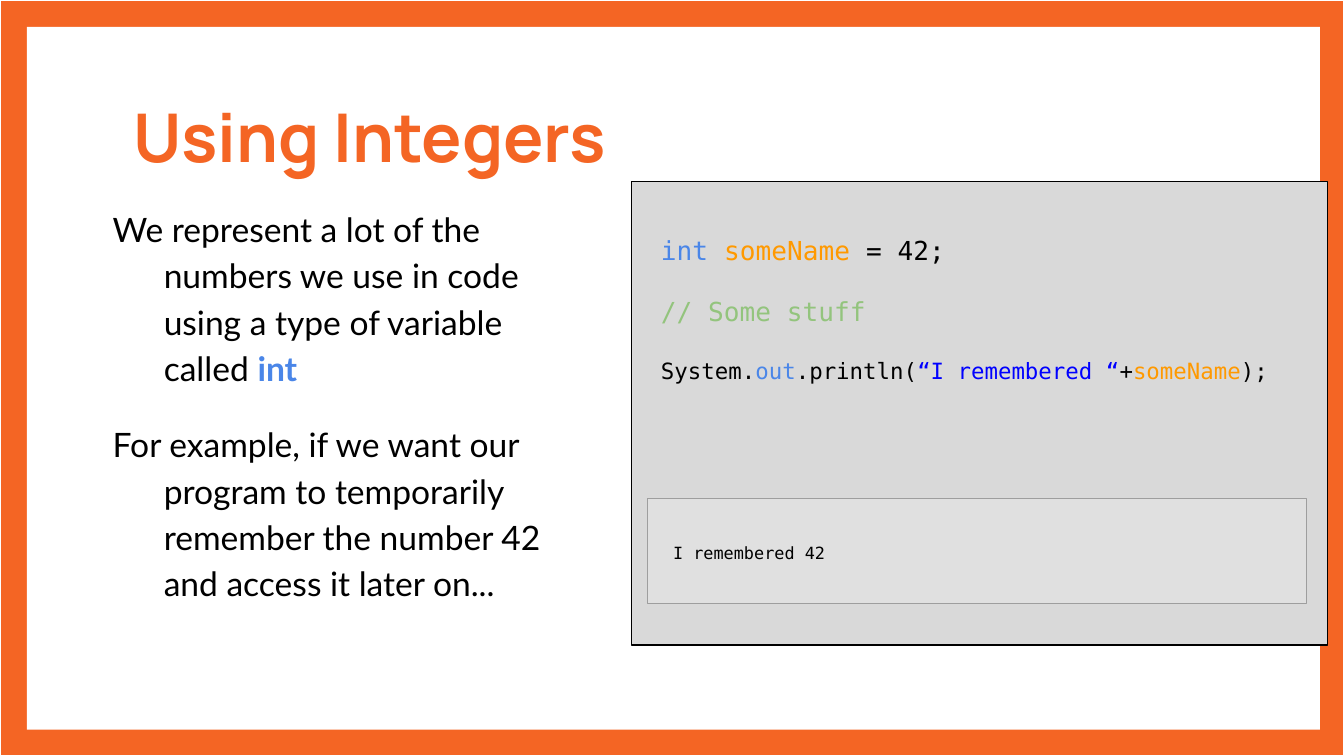
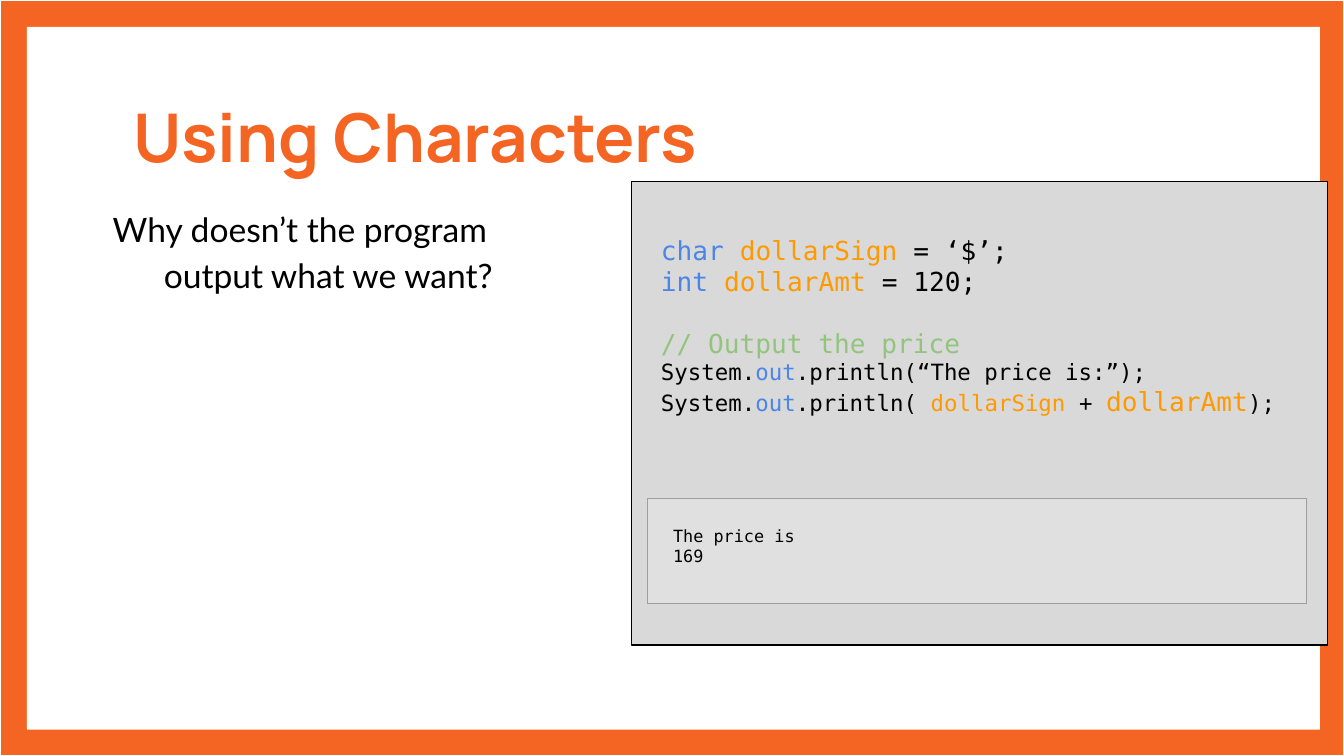
from pptx import Presentation
from pptx.dml.color import RGBColor
from pptx.enum.shapes import MSO_SHAPE
from pptx.enum.text import MSO_ANCHOR, MSO_AUTO_SIZE, PP_ALIGN
from pptx.util import Inches, Pt

COLS, ROWS = 100, 56.25
CELL = Inches(0.1)  # one column wide, one row high

ORANGE, WHITE, BLACK = "F46524", "FFFFFF", "000000"
PANEL, OUTPUT, OUTPUT_EDGE = "D9D9D9", "E0E0E0", "9E9E9E"
TYPE, NAME, COMMENT, STRING = "4A86E8", "FF9900", "93C47D", "0000FF"

TITLE_FONT, BODY_FONT, CODE_FONT = "Manrope", "Lato", "DejaVu Sans Mono"
BIG, SMALL = 14, 12  # code sizes
BLANK_LINE = 16.3  # height of one empty line of big code

# Each line of text is a list of runs: (text, colour, size).
# A code line comes with the number of empty lines above it.
PRINT = [("System.", BLACK, SMALL), ("out", TYPE, SMALL)]
slides = [
    {
        "title": "Using Integers",
        "body": [
            [("We represent a lot of the numbers we use in code "
              "using a type of variable called ", BLACK, 18),
             ("int", TYPE, 18)],
            [("For example, if we want our program to temporarily remember "
              "the number 42 and access it later on...", BLACK, 18)],
        ],
        "code": [
            (0, [("int ", TYPE, BIG), ("someName ", NAME, BIG), ("= 42;", BLACK, BIG)]),
            (1, [("// Some stuff", COMMENT, BIG)]),
            (1, PRINT + [(".println(", BLACK, SMALL), ("“I remembered “", STRING, SMALL),
                         ("+", BLACK, SMALL), ("someName", NAME, SMALL),
                         (");", BLACK, SMALL)]),
        ],
        "output": ["I remembered 42"],
        "output_rows": (39.4, 3.7),
    },
    {
        "title": "Using Characters",
        "body": [[("Why doesn’t the program output what we want?", BLACK, 18)]],
        "code": [
            (0, [("char ", TYPE, BIG), ("dollarSign ", NAME, BIG), ("= ‘$’;", BLACK, BIG)]),
            (0, [("int ", TYPE, BIG), ("dollarAmt ", NAME, BIG), ("= 120;", BLACK, BIG)]),
            (1, [("// Output the price", COMMENT, BIG)]),
            (0, PRINT + [(".println(“The price is:”);", BLACK, SMALL)]),
            (0, PRINT + [(".println( ", BLACK, SMALL), ("dollarSign ", NAME, SMALL),
                         ("+ ", BLACK, SMALL), ("dollarAmt", NAME, BIG),
                         (");", BLACK, SMALL)]),
        ],
        "output": ["The price is", "169"],
        "output_rows": (38.1, 5.6),
    },
]


def add_box(slide, col, row, cols, rows, fill, line=None):
    sp = slide.shapes.add_shape(MSO_SHAPE.RECTANGLE, *(
        round(n * CELL) for n in (col, row, cols, rows)))
    sp.shadow.inherit = False
    sp.fill.solid()
    sp.fill.fore_color.rgb = RGBColor.from_string(fill)
    if line:
        sp.line.color.rgb = RGBColor.from_string(line)
        sp.line.width = Pt(0.75)
    else:
        sp.line.fill.background()
    return sp


def write(sp, place, lines, font):
    """Place a text shape on the grid and fill it, one paragraph per line."""
    sp.left, sp.top, sp.width, sp.height = (round(n * CELL) for n in place)
    tf = sp.text_frame
    tf.word_wrap = True
    tf.auto_size = MSO_AUTO_SIZE.NONE
    tf.margin_left = tf.margin_right = tf.margin_top = tf.margin_bottom = CELL
    for i, line in enumerate(lines):
        p = tf.add_paragraph() if i else tf.paragraphs[0]
        p.alignment = PP_ALIGN.LEFT
        for text, colour, size in line:
            r = p.add_run()
            r.text = text
            r.font.name = font
            r.font.size = Pt(size)
            r.font.color.rgb = RGBColor.from_string(colour)
    return tf


prs = Presentation()
prs.slide_width = COLS * CELL
prs.slide_height = round(ROWS * CELL)
title_only = prs.slide_layouts[5]

for content in slides:
    slide = prs.slides.add_slide(title_only)
    title = slide.shapes.title

    # Frame, kept behind the title
    frame = add_box(slide, 0, 0, COLS, ROWS, ORANGE, WHITE)
    page = add_box(slide, 2, 2, 96.2, 52.3, WHITE)
    for sp in (frame, page):
        title.element.addprevious(sp.element)

    tf = write(title, (8.9, 5.7, 45.8, 8.4), [[(content["title"], ORANGE, 36)]], TITLE_FONT)
    tf.vertical_anchor = MSO_ANCHOR.BOTTOM
    tf.paragraphs[0].runs[0].font.bold = True

    # Explanation with hanging indents
    tf = write(slide.shapes.add_textbox(0, 0, 0, 0), (6.2, 14.1, 38.9, 35.3),
               content["body"], BODY_FONT)
    for p in tf.paragraphs:
        p.line_spacing = 1.15
        p.space_after = Pt(16)
        pPr = p._p.get_or_add_pPr()
        pPr.set("marL", str(5 * CELL))
        pPr.set("indent", str(round(-3.8 * CELL)))
        for r in p.runs[1:]:
            r.font.bold = True

    # Code panel
    add_box(slide, 47, 13.5, 51.8, 34.5, PANEL, BLACK)
    tf = write(slide.shapes.add_textbox(0, 0, 0, 0), (48.2, 16.4, 49.7, 15.2),
               [line for _, line in content["code"]], CODE_FONT)
    for p, (blanks, _) in zip(tf.paragraphs, content["code"]):
        p.space_before = Pt(blanks * BLANK_LINE)

    # Program output
    add_box(slide, 48.2, 37.1, 49, 7.8, OUTPUT, OUTPUT_EDGE)
    row, rows = content["output_rows"]
    write(slide.shapes.add_textbox(0, 0, 0, 0), (49.1, row, 35.6, rows),
          [[(text, BLACK, 9)] for text in content["output"]], CODE_FONT)

prs.save("out.pptx")
